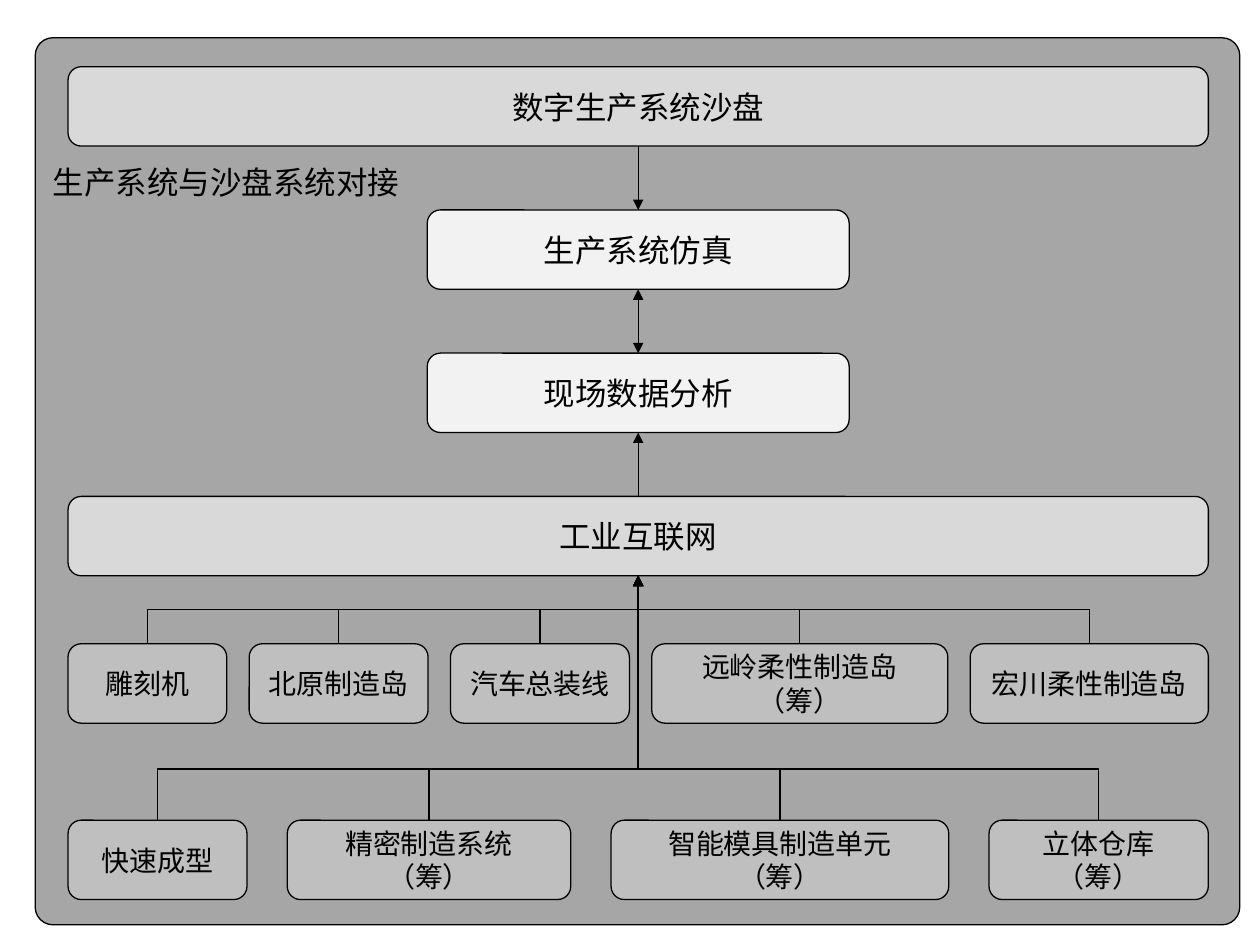
from collections import namedtuple

from lxml.etree import SubElement
from pptx import Presentation
from pptx.dml.color import RGBColor
from pptx.enum.shapes import MSO_CONNECTOR, MSO_SHAPE
from pptx.enum.text import MSO_ANCHOR, PP_ALIGN
from pptx.oxml.ns import qn
from pptx.util import Inches, Pt

# Grid: 100 columns by 75 rows, square cells
COL = ROW = Inches(0.1)
FONT = "Noto Sans CJK SC"
COLORS = {"panel": "A6A6A6", "bar": "D9D9D9", "step": "F2F2F2",
          "unit": "BFBFBF", "ink": "000000"}
BOX_ROWS = 6.3
TOP, BOTTOM = 0, 2
Box = namedtuple("Box", "left top width height")

PANEL = Box(2.8, 3, 95.6, 70.4)
FLOW = Box(5.4, 5.3, 90.5, 40.4)
ISLANDS = Box(5.4, 51.1, 90.5, BOX_ROWS)
CELLS = Box(5.4, 65.1, 90.5, BOX_ROWS)

# Label, fill and share of the flow's width
STAGES = [("数字生产系统沙盘", "bar", 1), ("生产系统仿真", "step", 0.37),
          ("现场数据分析", "step", 0.37), ("工业互联网", "bar", 1)]
# Label and width in columns
ISLAND_UNITS = [("雕刻机", 12.6), ("北原制造岛", 14.2), ("汽车总装线", 14.2),
                ("远岭柔性制造岛（筹）", 23.5), ("宏川柔性制造岛", 18.9)]
CELL_UNITS = [("快速成型", 14.2), ("精密制造系统（筹）", 22.5),
              ("智能模具制造单元（筹）", 26.8), ("立体仓库（筹）", 17.4)]


def color(name):
    return RGBColor.from_string(COLORS[name])


def write(shape, text, size=18, align=PP_ALIGN.CENTER, anchor=MSO_ANCHOR.MIDDLE):
    frame = shape.text_frame
    frame.word_wrap = True
    frame.vertical_anchor = anchor
    paragraph = frame.paragraphs[0]
    paragraph.alignment = align
    run = paragraph.add_run()
    run.text = text
    run.font.size = Pt(size)
    run.font.name = FONT
    run.font.color.rgb = color("ink")
    SubElement(run.font._element, qn("a:ea")).set("typeface", FONT)


def add_box(slide, box, fill):
    shape = slide.shapes.add_shape(
        MSO_SHAPE.ROUNDED_RECTANGLE, round(box.left * COL), round(box.top * ROW),
        round(box.width * COL), round(box.height * ROW))
    shape.shadow.inherit = False
    shape.fill.solid()
    shape.fill.fore_color.rgb = color(fill)
    shape.line.color.rgb = color("ink")
    shape.line.width = Pt(0.75)
    return shape


def add_link(slide, kind, start, start_side, end, end_side, heads=("tailEnd",)):
    link = slide.shapes.add_connector(kind, 0, 0, 0, 0)
    link.begin_connect(start, start_side)
    link.end_connect(end, end_side)
    link.line.color.rgb = color("ink")
    link.line.width = Pt(0.75)
    for head in heads:
        SubElement(link.line._get_or_add_ln(), qn(f"a:{head}")).set("type", "triangle")
    SubElement(link._element.spPr, qn("a:effectLst"))
    return link


def add_riser(slide, unit, hub, bend):
    """Elbow from a unit's top, over a shared rail, up to the hub's bottom."""
    link = add_link(slide, MSO_CONNECTOR.ELBOW, unit, TOP, hub, BOTTOM)
    start_x, end_x = link.begin_x, link.end_x
    start_y, end_y = link.begin_y, link.end_y
    run, rise = abs(end_x - start_x), start_y - end_y
    # The preset runs sideways, so it is turned about its centre
    link.left = (start_x + end_x - rise) // 2
    link.top = (start_y + end_y - run) // 2
    link.width, link.height = rise, run
    from_left = start_x < end_x
    frame = link._element.spPr.find(qn("a:xfrm"))
    frame.set("rot", str((90 if from_left else 270) * 60000))
    frame.set("flipH", str(int(from_left)))
    frame.set("flipV", "1")
    guides = link._element.spPr.find(qn("a:prstGeom")).get_or_add_avLst()
    guide = SubElement(guides, qn("a:gd"))
    guide.set("name", "adj1")
    guide.set("fmla", f"val {round(bend * 100000)}")


def add_panel(slide, box, label):
    panel = add_box(slide, box, "panel")
    panel.adjustments[0] = 0.02
    panel.text_frame.margin_top = round(box.height * 0.135 * ROW)
    write(panel, label, align=PP_ALIGN.LEFT, anchor=MSO_ANCHOR.TOP)


def add_flow(slide, box):
    """Stack the stages evenly, link them and return the last one."""
    pitch = (box.height - BOX_ROWS) / (len(STAGES) - 1)
    stages = []
    for row, (label, fill, share) in enumerate(STAGES):
        width = box.width * share
        place = Box(box.left + (box.width - width) / 2, box.top + row * pitch,
                    width, BOX_ROWS)
        stages.append(add_box(slide, place, fill))
        write(stages[-1], label)
    sandbox, simulation, analysis, internet = stages
    straight = MSO_CONNECTOR.STRAIGHT
    add_link(slide, straight, sandbox, BOTTOM, simulation, TOP)
    add_link(slide, straight, simulation, BOTTOM, analysis, TOP, ("headEnd", "tailEnd"))
    add_link(slide, straight, internet, TOP, analysis, BOTTOM)
    return internet


def add_units(slide, box, units, hub, bend):
    """Spread units over the row with equal gaps and join each to the hub."""
    gap = (box.width - sum(width for _, width in units)) / (len(units) - 1)
    left = box.left
    for label, width in units:
        unit = add_box(slide, Box(left, box.top, width, box.height), "unit")
        write(unit, label, size=16)
        add_riser(slide, unit, hub, bend)
        left += width + gap


def main():
    deck = Presentation()
    deck.slide_width, deck.slide_height = 100 * COL, 75 * ROW
    slide = deck.slides.add_slide(deck.slide_layouts[6])
    add_panel(slide, PANEL, "生产系统与沙盘系统对接")
    internet = add_flow(slide, FLOW)
    add_units(slide, ISLANDS, ISLAND_UNITS, internet, bend=0.5)
    add_units(slide, CELLS, CELL_UNITS, internet, bend=0.21)
    deck.save("out.pptx")


if __name__ == "__main__":
    main()
